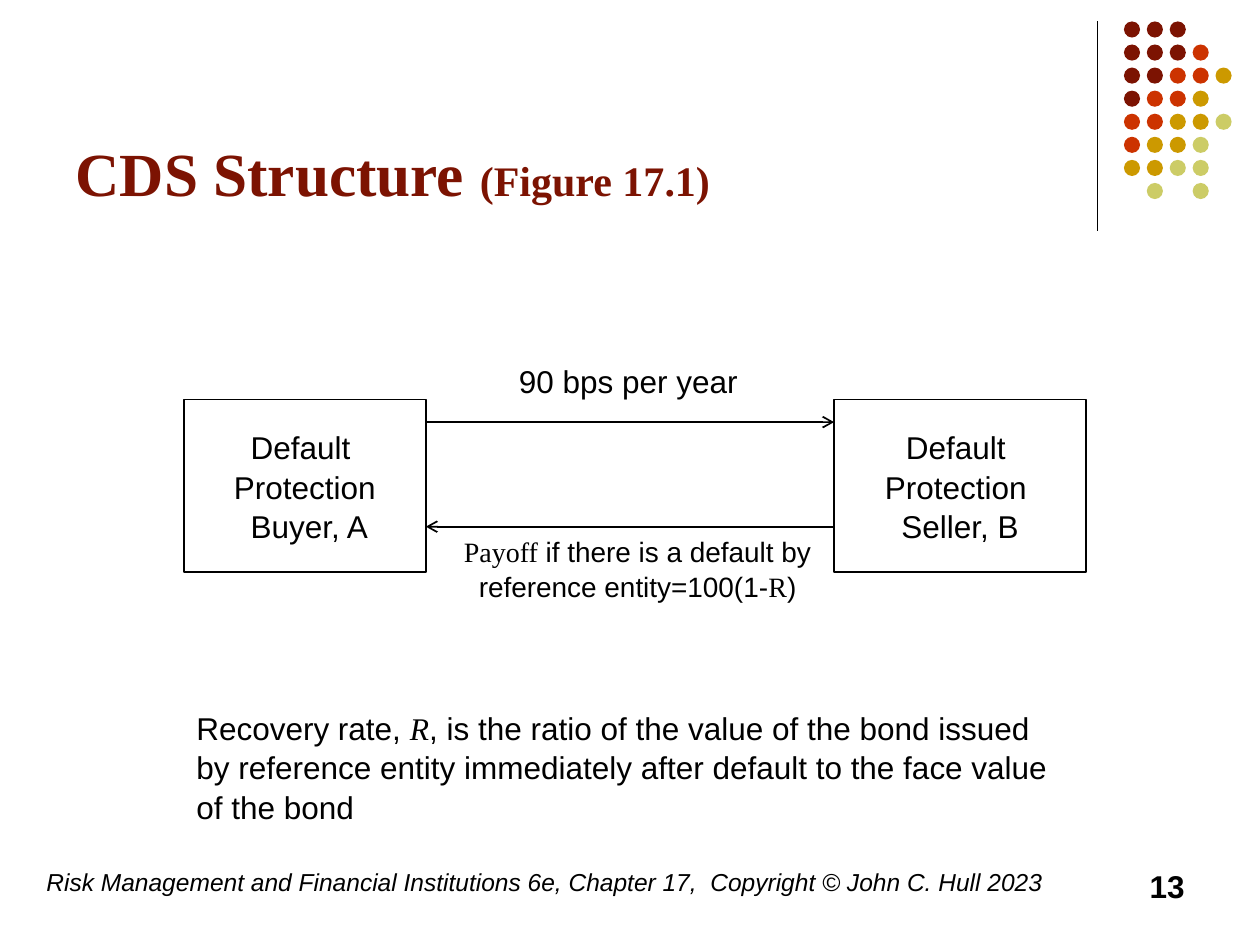
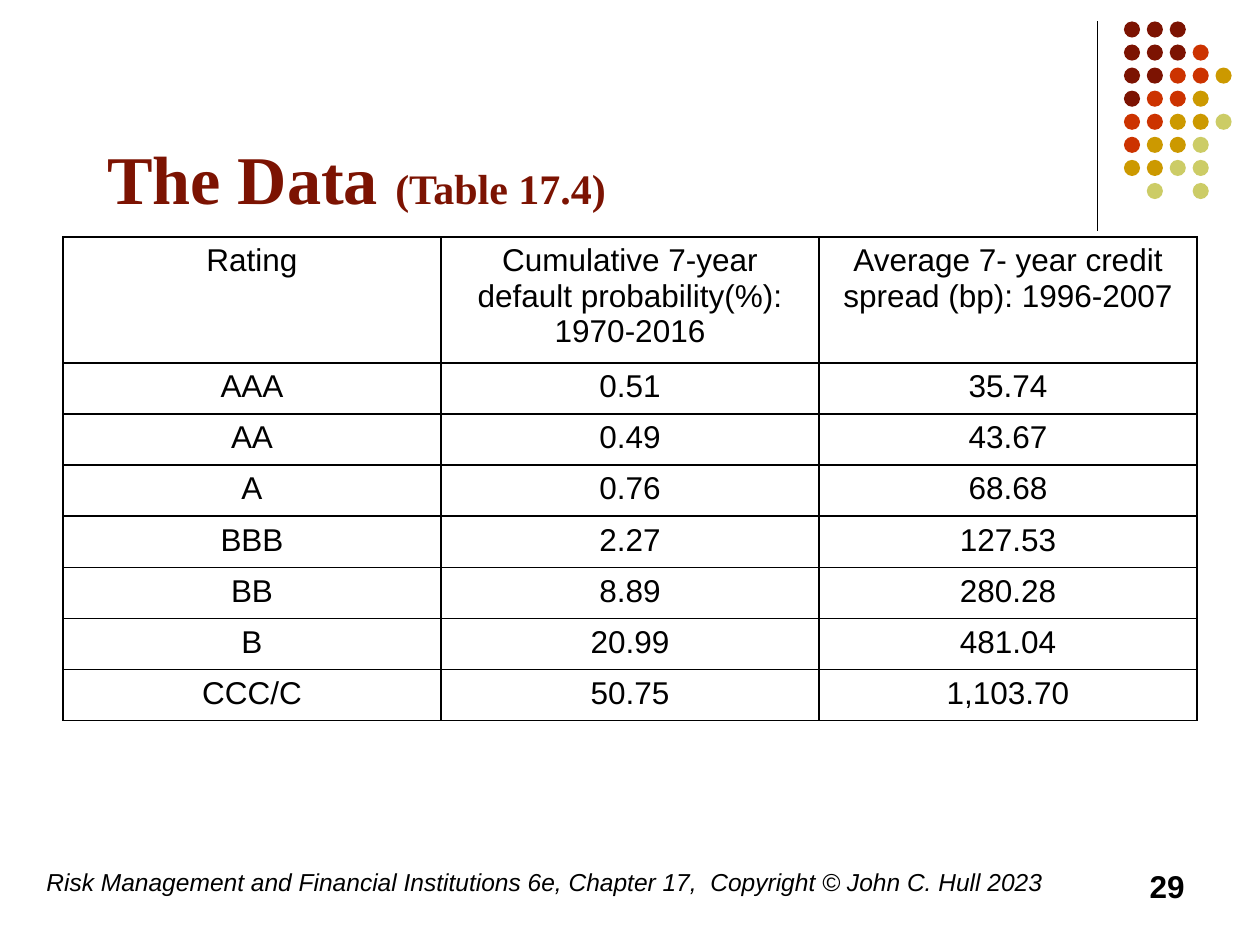
from collections import namedtuple

from lxml.etree import SubElement
from pptx import Presentation
from pptx.dml.color import RGBColor
from pptx.enum.shapes import MSO_CONNECTOR as CONN, MSO_SHAPE as SHAPE
from pptx.enum.text import MSO_ANCHOR as ANCHOR, MSO_AUTO_SIZE as AUTO, PP_ALIGN as ALIGN
from pptx.oxml.ns import qn
from pptx.util import Inches, Pt

BLACK = RGBColor(0x00, 0x00, 0x00)
WHITE = RGBColor(0xFF, 0xFF, 0xFF)
MAROON = RGBColor(0x7C, 0x13, 0x02)
RED = RGBColor(0xCC, 0x33, 0x00)
GOLD = RGBColor(0xCC, 0x99, 0x00)
OLIVE = RGBColor(0xCC, 0xCC, 0x66)

SANS, SERIF = "Arial", "Times New Roman"
DIAGRAM_SPACING = 1.05

# The slide is a grid of 100 columns by 75 rows; every length is in cells.
COLS, ROWS = 100, 75
SLIDE_W, SLIDE_H = Inches(10), Inches(7.5)
CELL = SLIDE_W // COLS

Box = namedtuple("Box", "x y w h")
Run = namedtuple("Run", "text size font bold italic color",
                 defaults=(18, SANS, False, False, BLACK))

DOT_BOX = Box(89.2, 1.7, 8.55, 14.1)
DOT_SIZE = 1.28
DOT_COLORS = {"M": MAROON, "R": RED, "G": GOLD, "O": OLIVE}
DOT_ROWS = ["MMM", "MMMR", "MMRRG", "MRRG", "RRGGO", "RGGO", "GGOO", " O O"]

FOOTER_BOX = Box(2.7, 68.3, 92.3, 5)
FOOTER = ("Risk Management and Financial Institutions 6e, Chapter 17,  "
          "Copyright © John C. Hull 2023")

RATINGS = [
    ("Rating", "Cumulative 7-year default probability(%): 1970-2016",
     "Average 7- year credit spread (bp): 1996-2007"),
    ("AAA", "0.51", "35.74"),
    ("AA", "0.49", "43.67"),
    ("A", "0.76", "68.68"),
    ("BBB", "2.27", "127.53"),
    ("BB", "8.89", "280.28"),
    ("B", "20.99", "481.04"),
    ("CCC/C", "50.75", "1,103.70"),
]


def cells(*lengths):
    return [round(n * CELL) for n in lengths]


def within(box, x, y, w, h):
    """Return a box given by its offset from the corner of another."""
    return Box(box.x + x, box.y + y, w, h)


def write(tf, paragraphs, align=ALIGN.LEFT, spacing=None):
    """Fill a text frame; each paragraph is a list of runs."""
    for i, runs in enumerate(paragraphs):
        p = tf.paragraphs[0] if i == 0 else tf.add_paragraph()
        p.alignment = align
        if spacing:
            p.line_spacing = spacing
        for run in runs:
            r = p.add_run()
            r.text = run.text
            r.font.size, r.font.name = Pt(run.size), run.font
            r.font.bold, r.font.italic = run.bold, run.italic
            r.font.color.rgb = run.color


def add_text(s, box, runs, align=ALIGN.LEFT, spacing=None):
    tf = s.shapes.add_textbox(*cells(*box)).text_frame
    tf.word_wrap = True
    write(tf, [runs], align, spacing)


def add_line(s, x1, y1, x2, y2, width, arrow=False):
    line = s.shapes.add_connector(CONN.STRAIGHT, *cells(x1, y1, x2, y2))
    line.line.color.rgb, line.line.width = BLACK, Pt(width)
    sp_pr = line.element.spPr
    if arrow:
        SubElement(sp_pr.find(qn("a:ln")), qn("a:tailEnd"), type="arrow")
    SubElement(sp_pr, qn("a:effectLst"))


def add_dots(s, box):
    group = s.shapes.add_group_shape()
    step_x = (box.w - DOT_SIZE) / (max(map(len, DOT_ROWS)) - 1)
    step_y = (box.h - DOT_SIZE) / (len(DOT_ROWS) - 1)
    for row, letters in enumerate(DOT_ROWS):
        for col, letter in enumerate(letters):
            if letter == " ":
                continue
            dot_box = within(box, col * step_x, row * step_y, DOT_SIZE, DOT_SIZE)
            dot = group.shapes.add_shape(SHAPE.OVAL, *cells(*dot_box))
            dot.shadow.inherit = False
            dot.fill.solid()
            dot.fill.fore_color.rgb = DOT_COLORS[letter]
            dot.line.fill.background()


def add_footer(s, box, number):
    add_text(s, within(box, 0, 0, 82.7, box.h), [Run(FOOTER, 14, italic=True)])
    add_text(s, within(box, box.w - 23.3, 0, 23.3, box.h),
             [Run(str(number), bold=True)], ALIGN.RIGHT)


def set_title(s, box, heading, size, reference):
    title = s.shapes.title
    title.left, title.top, title.width, title.height = cells(*box)
    tf = title.text_frame
    tf.auto_size, tf.vertical_anchor = AUTO.NONE, ANCHOR.BOTTOM
    write(tf, [[Run(heading, size, SERIF, True, color=MAROON),
                Run(reference, 24, SERIF, True, color=MAROON)]])


def add_slide(prs, number):
    """Add a slide with the shared corner ornament and footer."""
    s = prs.slides.add_slide(prs.slide_layouts[5])
    add_line(s, 87.1, 1.7, 87.1, 18.3, 0.75)
    add_dots(s, DOT_BOX)
    add_footer(s, FOOTER_BOX, number)
    return s


def add_party(s, box, lines):
    sp = s.shapes.add_shape(SHAPE.RECTANGLE, *cells(*box))
    sp.shadow.inherit = False
    sp.fill.solid()
    sp.fill.fore_color.rgb = WHITE
    sp.line.color.rgb, sp.line.width = BLACK, Pt(1)
    tf = sp.text_frame
    tf.word_wrap, tf.vertical_anchor = False, ANCHOR.MIDDLE
    write(tf, [[Run(line)] for line in lines], ALIGN.CENTER, DIAGRAM_SPACING)


def add_swap_diagram(s, box):
    buyer = within(box, 0, 3.6, 19.2, 13.7)
    seller = within(box, box.w - 20, 3.6, 20, 13.7)
    add_party(s, buyer, ["Default ", "Protection", " Buyer, A"])
    add_party(s, seller, ["Default ", "Protection ", "Seller, B"])

    left, right = buyer.x + buyer.w, seller.x
    premium_y, payoff_y = box.y + 5.4, box.y + 13.7
    add_line(s, left, premium_y, right, premium_y, 1, arrow=True)
    add_line(s, right, payoff_y, left, payoff_y, 1, arrow=True)

    add_text(s, within(box, 25.6, 0, 22.8, 4), [Run("90 bps per year")],
             spacing=DIAGRAM_SPACING)
    add_text(s, within(box, 17.3, 13.7, 37.4, 6.4),
             [Run("Payoff", 16, SERIF),
              Run(" if there is a default by reference entity=100(1-", 16),
              Run("R", 16, SERIF), Run(")", 16)],
             ALIGN.CENTER, DIAGRAM_SPACING)


def set_borders(cell):
    tc_pr = cell._tc.get_or_add_tcPr()
    for i, side in enumerate(("lnL", "lnR", "lnT", "lnB")):
        ln = tc_pr.makeelement(qn(f"a:{side}"), {"w": str(Pt(1))})
        fill = SubElement(ln, qn("a:solidFill"))
        SubElement(fill, qn("a:srgbClr"), val=str(BLACK))
        tc_pr.insert(i, ln)


def add_ratings_table(s, box, header_height):
    n_rows, n_cols = len(RATINGS), len(RATINGS[0])
    table = s.shapes.add_table(n_rows, n_cols, *cells(*box)).table
    table.first_row = table.horz_banding = False
    body_height = (box.h - header_height) / (n_rows - 1)
    for col in table.columns:
        col.width = cells(box.w / n_cols)[0]
    for i, (row, values) in enumerate(zip(table.rows, RATINGS)):
        row.height = cells(body_height if i else header_height)[0]
        for cell, value in zip(row.cells, values):
            cell.fill.background()
            set_borders(cell)
            write(cell.text_frame, [[Run(value)]], ALIGN.CENTER)


def build_structure_slide(prs):
    s = add_slide(prs, 13)
    set_title(s, Box(5, 6.7, 76.5, 10.4), "CDS Structure ", 35, "(Figure 17.1)")
    add_swap_diagram(s, Box(14.6, 28.1, 71.6, 20.1))
    add_text(s, Box(14.6, 55.6, 70.9, 10),
             [Run("Recovery rate, "), Run("R", font=SERIF, italic=True),
              Run(", is the ratio of the value of the bond issued by reference "
                  "entity immediately after default to the face value of the bond")],
             spacing=DIAGRAM_SPACING)


def build_data_slide(prs):
    s = add_slide(prs, 29)
    set_title(s, Box(7.5, 3.6, 82.5, 14.2), "The Data ", 39, "(Table 17.4)")
    add_ratings_table(s, Box(5, 18.8, 90, 38.4), header_height=10)


def main():
    prs = Presentation()
    prs.slide_width, prs.slide_height = SLIDE_W, SLIDE_H
    build_structure_slide(prs)
    build_data_slide(prs)
    prs.save("out.pptx")


if __name__ == "__main__":
    main()
